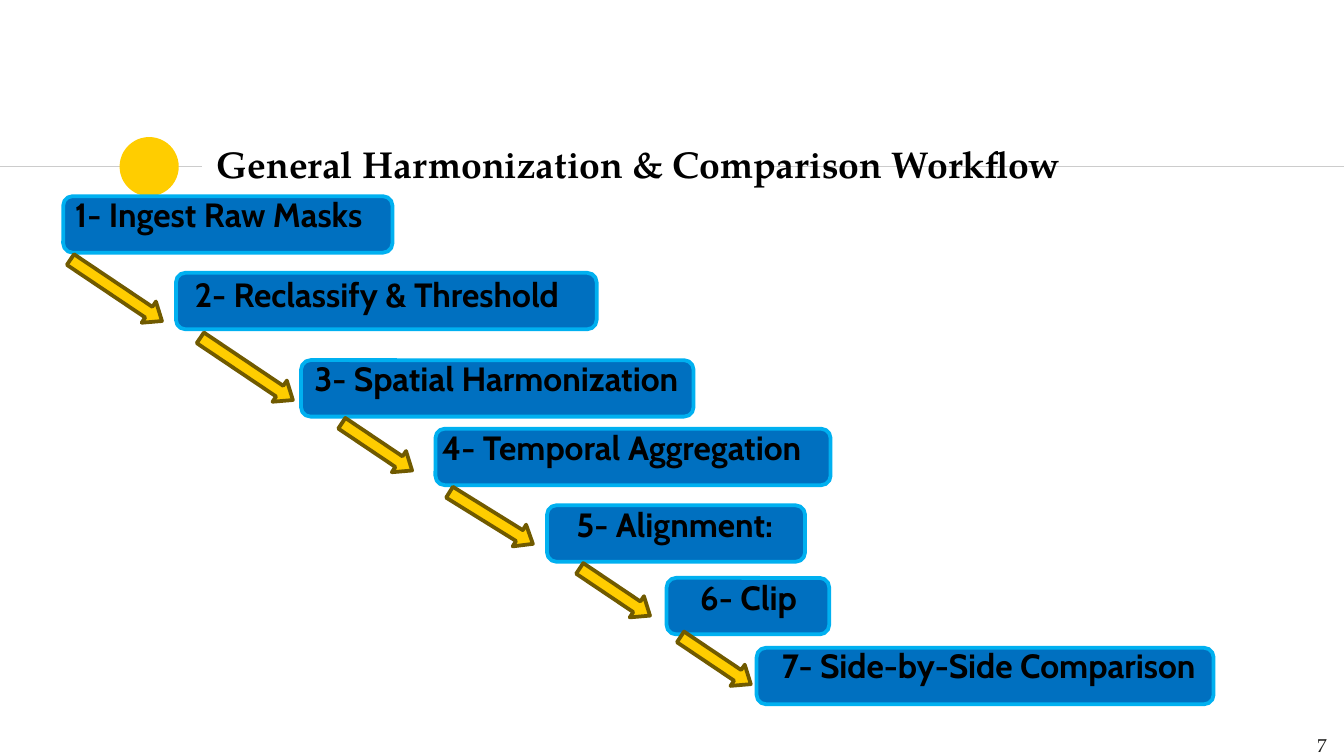
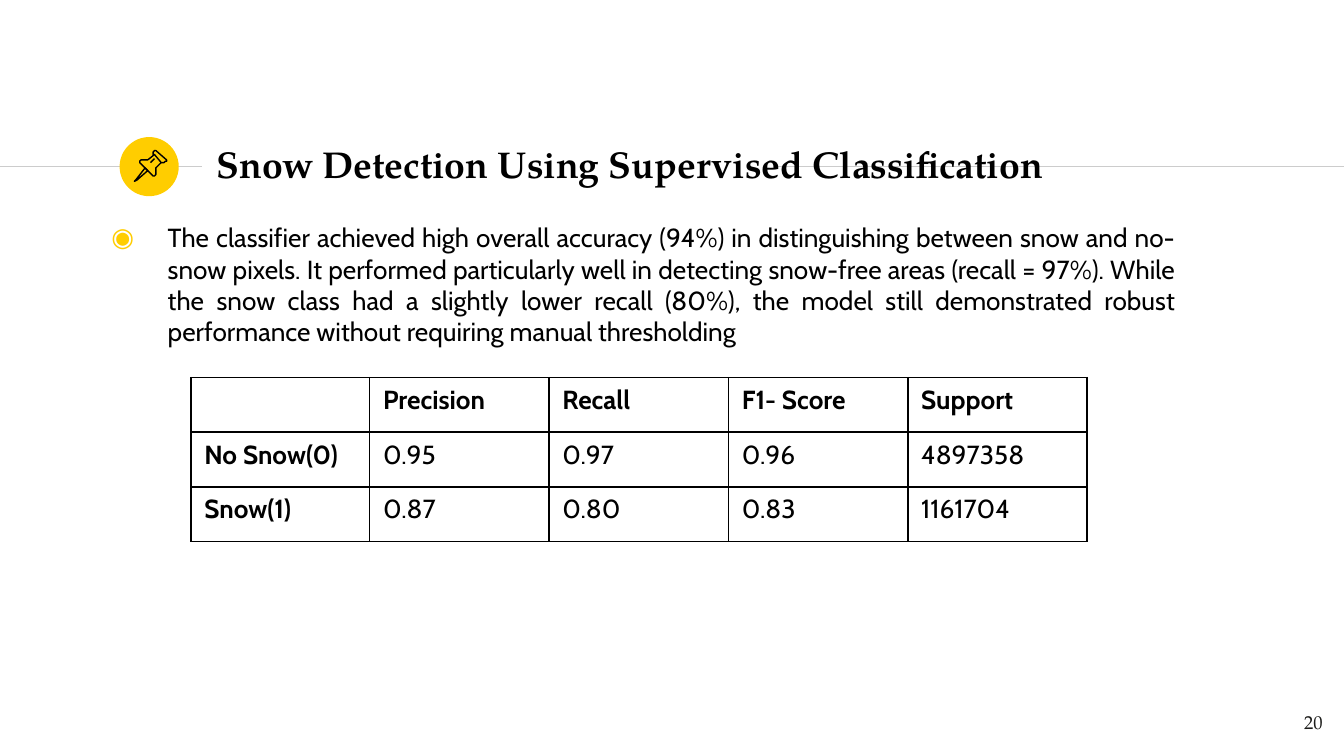
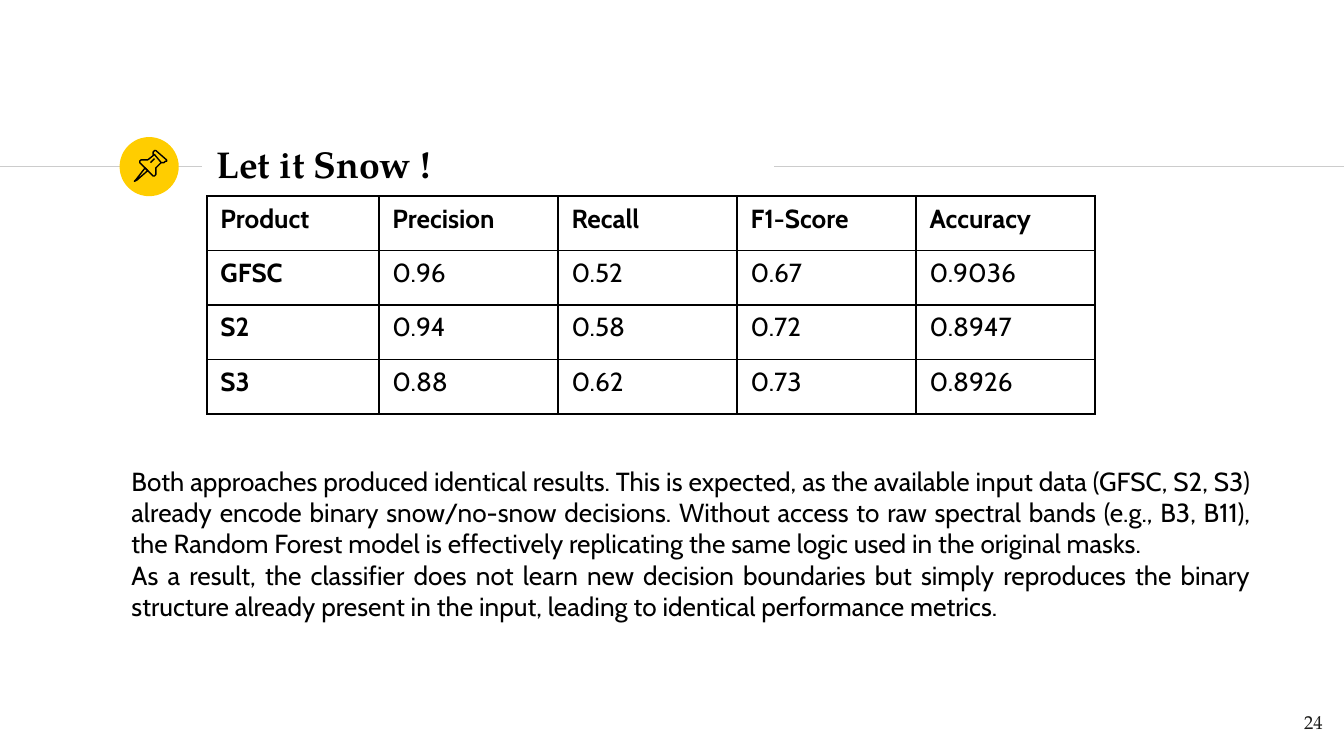
"""Build three slides on snow mask comparison."""
from dataclasses import dataclass

from lxml import etree
from pptx import Presentation, util as u
from pptx.dml.color import RGBColor
from pptx.enum import shapes as sh, text as tx
from pptx.oxml import ns

PX = 9144


@dataclass(frozen=True)
class Theme:
    """Hold the colours, fonts and type sizes."""
    gold: str = "FFCD00"
    rust: str = "705A00"
    blue: str = "0070C0"
    sky: str = "00B0F0"
    rule: str = "CCCCCC"
    ink: str = "000000"
    dim: str = "1D1D1B"
    serif: str = "TeX Gyre Pagella"
    sans: str = "Cabin"
    head: int = 20
    step: int = 18
    body: int = 14
    foot: int = 10


T = Theme()
HEAD = dict(name=T.serif, size=u.Pt(T.head), bold=True)
STEP = dict(name=T.sans, size=u.Pt(T.step), bold=True)
BODY = dict(name=T.sans, size=u.Pt(T.body), bold=False)
FOOT = dict(name=T.serif, size=u.Pt(T.foot), bold=False)
LEFT, RIGHT, EVEN = (tx.PP_ALIGN.LEFT, tx.PP_ALIGN.RIGHT, tx.PP_ALIGN.JUSTIFY)

PIN = [
    ([(19, 23), (12, 32), (11, 33), (13, 32), (21, 25)], True),
    ([(26, 13), (31, 19), (33, 19), (34, 18), (35, 18), (35, 17),
      (27, 10), (26, 10), (25, 11), (25, 13)], True),
    ([(26, 13), (21, 17), (18, 17), (16, 17), (15, 18), (15, 19),
      (25, 29), (26, 29), (27, 28), (27, 23), (31, 19)], False),
    ([(23, 19), (26, 16)], False),
]

STEPS = [
    ("1- Ingest Raw Masks", (0, 0, 245), (-9, -12, 266)),
    ("2- Reclassify & Threshold", (84, 57, 313), (-4, -9, 328)),
    ("3- Spatial Harmonization", (177, 122, 292), (-8, -12, 328)),
    ("4- Temporal Aggregation", (277, 173, 294), (-13, -11, 316)),
    ("5- Alignment:", (360, 230, 192), (4, -11, 354)),
    ("6- Clip", (449, 284, 121), (7, -11, 354)),
    ("7- Side-by-Side Comparison", (516, 336, 340), (1, -12, 354)),
]
ARROWS = [(30, 29, 82, 303.9), (127, 87, 83, 303.9), (224, 155, 63, 303.9),
          (309, 203, 73, 301.8), (401, 263, 63, 303.9), (476, 314, 63, 303.9)]

SCORES = [
    ["", "Precision", "Recall", "F1- Score", "Support"],
    ["No Snow(0)", "0.95", "0.97", "0.96", "4897358"],
    ["Snow(1)", "0.87", "0.80", "0.83", "1161704"],
]
RATES = [
    ["Product", "Precision", "Recall", "F1-Score", "Accuracy"],
    ["GFSC", "0.96", "0.52", "0.67", "0.9036"],
    ["S2", "0.94", "0.58", "0.72", "0.8947"],
    ["S3", "0.88", "0.62", "0.73", "0.8926"],
]
CLAIM = ("The classifier achieved high overall accuracy (94%) in distinguishing "
         "between snow and no-snow pixels. It performed particularly well in "
         "detecting snow-free areas (recall = 97%). While the snow class had a "
         "slightly lower recall (80%), the model still demonstrated robust "
         "performance without requiring manual thresholding")
NOTES = [
    "Both approaches produced identical results. This is expected, as the "
    "available input data (GFSC, S2, S3) already encode binary snow/no-snow "
    "decisions. Without access to raw spectral bands (e.g., B3, B11), the Random "
    "Forest model is effectively replicating the same logic used in the original "
    "masks.",
    "As a result, the classifier does not learn new decision boundaries but "
    "simply reproduces the binary structure already present in the input, "
    "leading to identical performance metrics.",
]


def emu(box):
    """Turn px lengths into EMU."""
    return [u.Emu(n * PX) for n in box]


def put(obj, vals):
    """Set each attribute named in a dict."""
    for key, val in vals.items():
        setattr(obj, key, val)


def rgb(hue):
    """Turn a hex string into a colour."""
    return RGBColor.from_string(hue)


def paint(shape, fill, line, width):
    """Give a shape its fill and line, without a shadow."""
    shape.shadow.inherit = False
    if fill:
        shape.fill.solid()
        shape.fill.fore_color.rgb = rgb(fill)
    else:
        shape.fill.background()
    if line:
        shape.line.color.rgb = rgb(line)
        shape.line.width = u.Pt(width)
    else:
        shape.line.fill.background()


def form(slide, kind, box, fill, line=None, width=0):
    """Add a painted preset shape."""
    shape = slide.shapes.add_shape(kind, *emu(box))
    paint(shape, fill, line, width)
    return shape


def write(para, words, font, hue=T.ink, align=LEFT):
    """Write one run into a paragraph."""
    para.alignment = align
    run = para.add_run()
    run.text = words
    put(run.font, font)
    run.font.color.rgb = rgb(hue)


def frame(shape, inset, anchor=tx.MSO_ANCHOR.TOP):
    """Set up a text frame with left, top, right and bottom insets."""
    sides = ("margin_left", "margin_top", "margin_right", "margin_bottom")
    put(shape.text_frame, dict(zip(sides, emu(inset)), word_wrap=True,
                               auto_size=tx.MSO_AUTO_SIZE.NONE,
                               vertical_anchor=anchor))
    return shape.text_frame


def label(slide, box, lines, font, inset=(10, 10, 10, 10), **look):
    """Add a text box with one paragraph per line."""
    body = frame(slide.shapes.add_textbox(*emu(box)), inset)
    for i, words in enumerate(lines):
        para = body.add_paragraph() if i else body.paragraphs[0]
        write(para, words, font, **look)
    return body


def indent(para, left, hang=0):
    """Set the left margin and first-line indent of a paragraph."""
    props = para._p.get_or_add_pPr()
    props.set("marL", str(left * PX))
    props.set("indent", str(hang * PX))
    return props


def bullet(para, mark, hue):
    """Give a paragraph a coloured bullet."""
    props = indent(para, 50, -42)
    tone = etree.SubElement(props, ns.qn("a:buClr"))
    etree.SubElement(tone, ns.qn("a:srgbClr"), val=hue)
    etree.SubElement(props, ns.qn("a:buFont"), typeface=T.sans)
    etree.SubElement(props, ns.qn("a:buChar"), char=mark)


def rule(slide, left, right, top):
    """Draw a level hairline."""
    line = slide.shapes.add_connector(sh.MSO_CONNECTOR.STRAIGHT,
                                      *emu((left, top, right, top)))
    line.line.color.rgb = rgb(T.rule)
    line.line.width = u.Pt(0.75)
    etree.SubElement(line._element.spPr, ns.qn("a:effectLst"))


def pin(slide, x, y):
    """Draw the pushpin outline."""
    for dots, shut in PIN:
        pen = slide.shapes.build_freeform(*dots[0], scale=PX)
        pen.add_line_segments(dots[1:], close=shut)
        paint(pen.convert_to_shape(x * PX, y * PX), None, T.ink, 0.75)


def page(deck, title, width, num, spot=(934, 519), icon=True):
    """Add a slide with its band, title and number."""
    slide = deck.slides.add_slide(deck.slide_layouts[5])
    rule(slide, 0, 150, 124)
    form(slide, sh.MSO_SHAPE.OVAL, (89, 102, 44, 44), T.gold)
    rule(slide, 576, 1000, 124)
    if icon:
        pin(slide, 89, 102)
    head = slide.shapes.title
    slide.shapes._spTree.append(head._element)
    put(head, dict(zip(("left", "top", "width", "height"),
                       emu((151, 98, width, 48)))))
    body = frame(head, (10, 10, 10, 10), tx.MSO_ANCHOR.MIDDLE)
    write(body.paragraphs[0], title, HEAD)
    label(slide, (*spot, 60, 43), [num], FOOT, hue=T.dim, align=RIGHT)
    return slide


def flow(slide, x, y):
    """Draw the stair of steps and the arrows between them."""
    for words, (left, top, width), (dx, dy, wide) in STEPS:
        left, top = x + left, y + top
        form(slide, sh.MSO_SHAPE.ROUNDED_RECTANGLE, (left, top, width, 42),
             T.blue, T.sky, 2)
        body = label(slide, (left + dx, top + dy, wide, 63), [words], STEP)
        indent(body.paragraphs[0], 8)
    for left, top, tall, turn in ARROWS:
        arrow = form(slide, sh.MSO_SHAPE.DOWN_ARROW,
                     (x + left, y + top, 19, tall), T.gold, T.rust, 2)
        arrow.rotation = turn
        arrow.adjustments[0] = 0.5
        arrow.adjustments[1] = 0.62


def edge(cell):
    """Draw the four borders of a cell."""
    props = cell._tc.get_or_add_tcPr()
    for i, side in enumerate(("lnL", "lnR", "lnT", "lnB")):
        line = etree.Element(ns.qn("a:" + side), w=str(u.Pt(1)))
        fill = etree.SubElement(line, ns.qn("a:solidFill"))
        etree.SubElement(fill, ns.qn("a:srgbClr"), val=T.ink)
        props.insert(i, line)


def grid(slide, box, rows, first):
    """Add a ruled table with bold heads, given its first column width."""
    high, wide = len(rows), len(rows[0])
    table = slide.shapes.add_table(high, wide, *emu(box)).table
    put(table, dict(first_row=False, horz_banding=False))
    rest = (box[2] - first) * PX // (wide - 1)
    for i, col in enumerate(table.columns):
        col.width = u.Emu(rest if i else first * PX)
    for r, row in enumerate(rows):
        table.rows[r].height = u.Emu(box[3] * PX // high)
        for c, words in enumerate(row):
            cell = table.cell(r, c)
            cell.fill.background()
            edge(cell)
            if words:
                font = dict(BODY, bold=r == 0 or c == 0)
                write(cell.text_frame.paragraphs[0], words, font)


def main():
    """Build and save the deck."""
    deck = Presentation()
    wide = 1000 * PX
    put(deck, dict(slide_width=u.Emu(wide), slide_height=u.Emu(wide * 9 // 16)))

    slide = page(deck, "General Harmonization & Comparison Workflow", 728, "7",
                 spot=(937, 536), icon=False)
    flow(slide, 47, 146)

    slide = page(deck, "Snow Detection Using Supervised Classification", 695, "20")
    body = label(slide, (65, 155, 820, 340), [CLAIM], BODY, align=EVEN)
    bullet(body.paragraphs[0], "◉", T.gold)
    grid(slide, (142, 281, 667, 122), SCORES, 133)

    slide = page(deck, "Let it Snow !", 424, "24")
    grid(slide, (154, 146, 661, 162), RATES, 128)
    label(slide, (88, 341, 853, 151), NOTES, BODY, inset=(10, 5, 10, 5), align=EVEN)

    deck.save("out.pptx")


if __name__ == "__main__":
    main()
